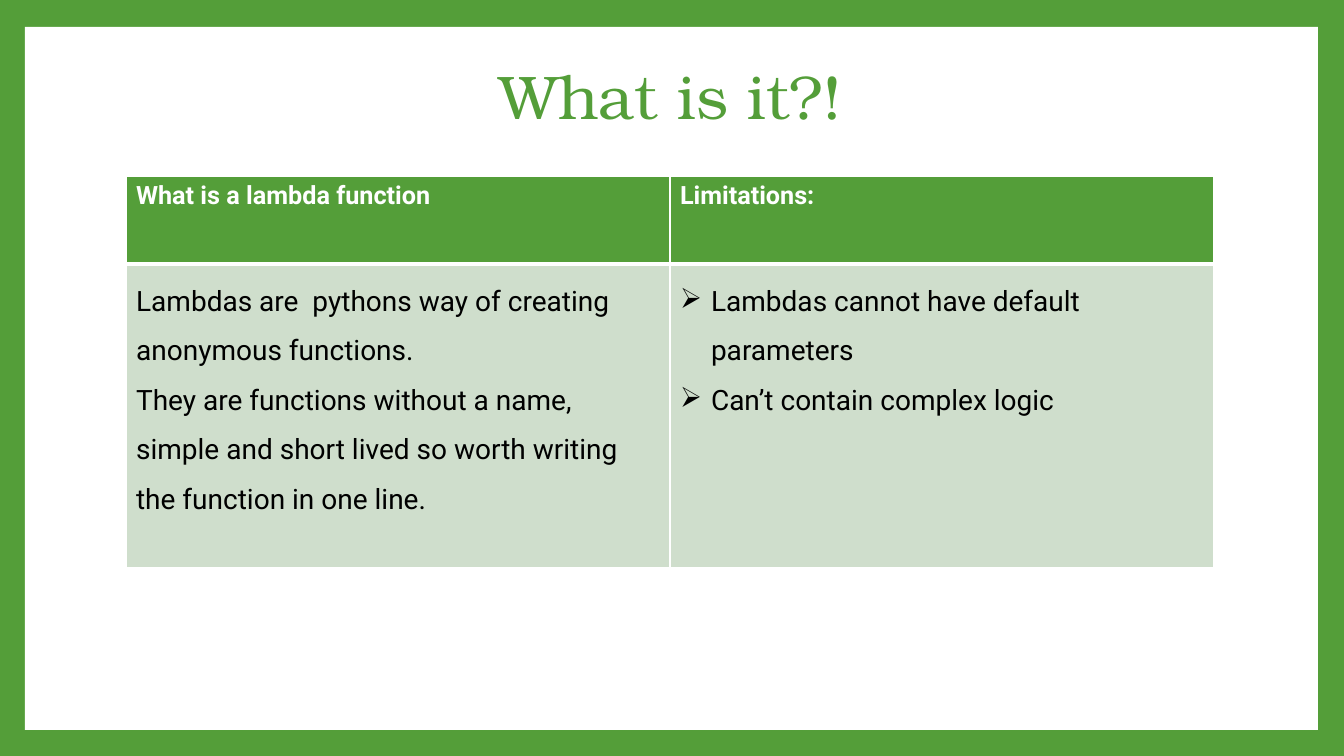
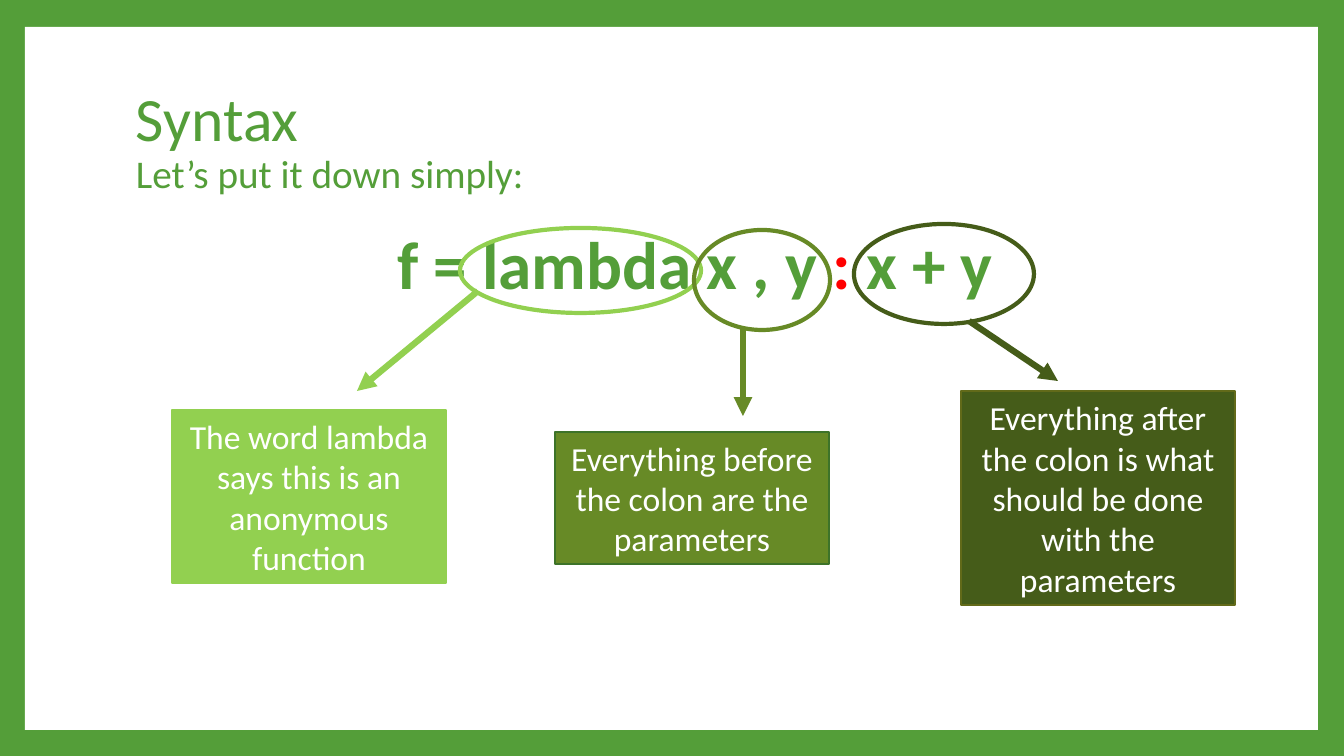
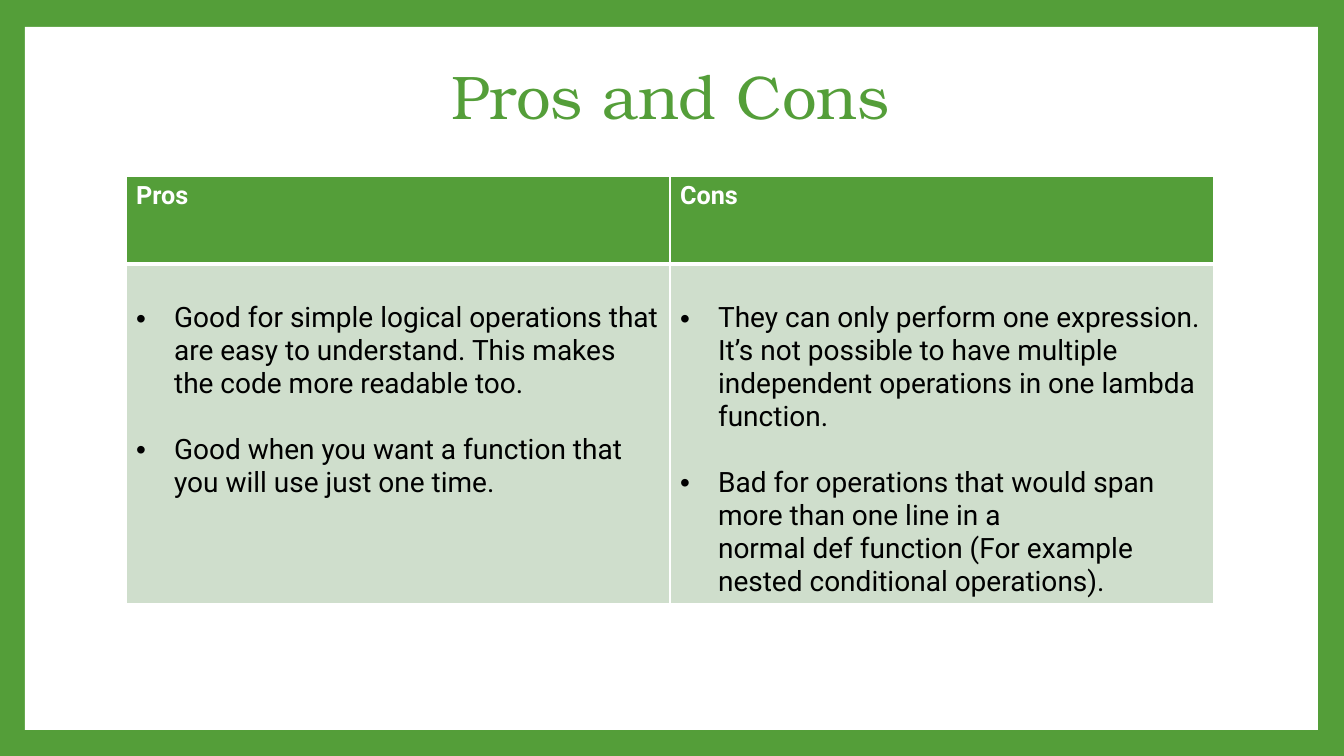
from lxml import etree
from pptx import Presentation
from pptx.dml.color import RGBColor
from pptx.enum.shapes import MSO_CONNECTOR, MSO_SHAPE
from pptx.enum.text import MSO_ANCHOR, PP_ALIGN
from pptx.oxml.ns import qn
from pptx.util import Pt

RECT, OVAL = MSO_SHAPE.RECTANGLE, MSO_SHAPE.OVAL
LINE = MSO_CONNECTOR.STRAIGHT
MIDDLE = MSO_ANCHOR.MIDDLE
LEFT, CENTER = PP_ALIGN.LEFT, PP_ALIGN.CENTER
SCALE = 914400 / 100.8
HARD = chr(160)  # non-breaking space


class Theme:
    green = "549E39"
    white = "FFFFFF"
    black = "000000"
    pale = "CFDECC"
    red = "FF0000"
    serif = "TeX Gyre Bonum"
    sans = "Calibri"
    grid = "Roboto"
    title = 44
    sub = 28
    code = 48
    note = 24
    head = 18
    body = 20
    arrow = ("Wingdings", "Ø")
    dot = ("Arial", "•")


def px(*nums):
    """Turn pixel lengths into EMU: one value for one length, else a list."""
    emus = [round(num * SCALE) for num in nums]
    return emus[0] if len(emus) == 1 else emus


def style(runs, font, size, color, bold=False):
    for run in runs:
        run.font.name = font
        run.font.size = Pt(size)
        run.font.bold = bold
        run.font.color.rgb = RGBColor.from_string(color)


prs = Presentation()
prs.slide_width, prs.slide_height = px(1344, 756)
back = prs.slide_master.background.fill
back.solid()
back.fore_color.rgb = RGBColor.from_string(Theme.green)

# Slides with their frame and title
heads = [
    ("What is it?!", 25, Theme.serif, CENTER),
    ("Syntax\vLet’s put it down simply:", 68, Theme.sans, LEFT),
    ("Pros and Cons", 25, Theme.serif, CENTER),
]
slides = []
for text, top, font, align in heads:
    slide = prs.slides.add_slide(prs.slide_layouts[6])
    slides.append(slide)
    panel = slide.shapes.add_shape(RECT, *px(25, 27, 1293, 703))
    panel.shadow.inherit = False
    panel.fill.solid()
    panel.fill.fore_color.rgb = RGBColor.from_string(Theme.white)
    panel.line.fill.background()

    frame = slide.shapes.add_textbox(*px(126, top, 1089, 149)).text_frame
    frame.word_wrap = True
    frame.vertical_anchor = MIDDLE
    frame.text = text
    par = frame.paragraphs[0]
    par.alignment = align
    par.line_spacing = 0.9
    style(par.runs[:1], font, Theme.title, Theme.green)
    style(par.runs[1:], font, Theme.sub, Theme.green)

# Tables: slide, headings, then per column its bullet, indent and paragraphs,
# and last the line spacing, paragraph gap and top inset of the body
tables = [
    (slides[0], ["What is a lambda function", "Limitations:"], [
        (None, 0, [
            "Lambdas are  pythons way of creating anonymous functions.",
            "They are functions without a name,",
            "simple and short lived so worth writing the function in one line.",
        ]),
        (Theme.arrow, 31, [
            "Lambdas cannot have default parameters",
            "Can’t contain complex logic",
        ]),
    ], 1.5, 0, 5),
    (slides[2], ["Pros", "Cons"], [
        (Theme.dot, 38, [
            "Good for simple logical operations that are easy to understand. "
            "This makes the code more readable too.",
            "Good when you want a function that you will use just one time.",
        ]),
        (Theme.dot, 38, [
            "They can only perform one expression. It’s not possible to have "
            "multiple independent operations in one lambda function.",
            "Bad for operations that would span more than one line in a "
            f"normal{HARD}def{HARD}function (For example nested conditional operations).",
        ]),
    ], 1.0, 33, 38),
]
for slide, names, cols, space, gap, inset in tables:
    table = slide.shapes.add_table(2, 2, *px(126, 176, 1088, 392)).table
    table.horz_banding = False
    table.rows[0].height, table.rows[1].height = px(88, 304)
    for row, fill in enumerate([Theme.green, Theme.pale]):
        for col in range(2):
            cell = table.cell(row, col)
            props = cell._tc.get_or_add_tcPr()
            for side in ("lnL", "lnR", "lnT", "lnB"):
                wide = side == ("lnT" if row else "lnB")
                edge = etree.SubElement(props, qn("a:" + side), w=str(Pt(3 if wide else 1)))
                paint = etree.SubElement(edge, qn("a:solidFill"))
                etree.SubElement(paint, qn("a:srgbClr"), val=Theme.white)
            cell.fill.solid()
            cell.fill.fore_color.rgb = RGBColor.from_string(fill)

    for col, (mark, indent, lines) in enumerate(cols):
        top, cell = table.cell(0, col), table.cell(1, col)
        top.text_frame.text = names[col]
        style(top.text_frame.paragraphs[0].runs, Theme.grid, Theme.head, Theme.white, True)
        cell.margin_top = px(inset)
        cell.margin_bottom = 0
        cell.text_frame.text = "\n".join(lines)
        for i, par in enumerate(cell.text_frame.paragraphs):
            par.line_spacing = space
            par.space_before = px(gap if i else 0)
            style(par.runs, Theme.grid, Theme.body, Theme.black)
            if mark:
                font, char = mark
                props = par._p.get_or_add_pPr()
                props.set("marL", str(px(indent)))
                props.set("indent", str(px(-indent)))
                etree.SubElement(props, qn("a:buFont"), typeface=font)
                etree.SubElement(props, qn("a:buChar"), char=char)

# Syntax slide: formula
shapes = slides[1].shapes
frame = shapes.add_textbox(*px(126, 227, 1133, 446)).text_frame
frame.word_wrap = True
par = frame.paragraphs[0]
par.alignment = CENTER
par.line_spacing = 0.9
par._p.get_or_add_pPr().set("marL", str(px(5)))
parts = [("f = lambda x , y ", Theme.green), (":", Theme.red), (" x + y", Theme.green)]
for text, color in parts:
    run = par.add_run()
    run.text = text
    style([run], Theme.sans, Theme.code, color, True)

# Syntax slide: each note has a box, a ring around its part and an arrow
notes = [
    ("The word lambda says this is an anonymous function", "92D050", "92D050",
     (172, 410, 274, 173), (460, 228, 241, 85), (478, 291, 357, 391)),
    ("Everything before the colon are the parameters", "678A26", "3D7329",
     (555, 432, 274, 132), (694, 230, 136, 100), (743, 329, 743, 416)),
    ("Everything after the colon is what should be done with the parameters",
     "455C19", "626A19",
     (961, 391, 274, 214), (854, 224, 180, 100), (969, 321, 1058, 381)),
]
for text, color, rim, spot, loop, ends in notes:
    tint = RGBColor.from_string(color)
    box = shapes.add_shape(RECT, *px(*spot))
    box.shadow.inherit = False
    box.fill.solid()
    box.fill.fore_color.rgb = tint
    box.line.color.rgb = RGBColor.from_string(rim)
    box.line.width = Pt(1.5)
    frame = box.text_frame
    frame.word_wrap = True
    frame.vertical_anchor = MIDDLE
    frame.text = text
    frame.paragraphs[0].alignment = CENTER
    style(frame.paragraphs[0].runs, Theme.sans, Theme.note, Theme.white)

    ring = shapes.add_shape(OVAL, *px(*loop))
    ring.shadow.inherit = False
    ring.fill.background()
    ring.line.color.rgb = tint
    ring.line.width = Pt(3)

    arrow = shapes.add_connector(LINE, *px(*ends))
    arrow.line.color.rgb = tint
    arrow.line.width = Pt(4.5)
    props = arrow._element.spPr
    etree.SubElement(props.find(qn("a:ln")), qn("a:tailEnd"), type="triangle")
    etree.SubElement(props, qn("a:effectLst"))

prs.save("out.pptx")
